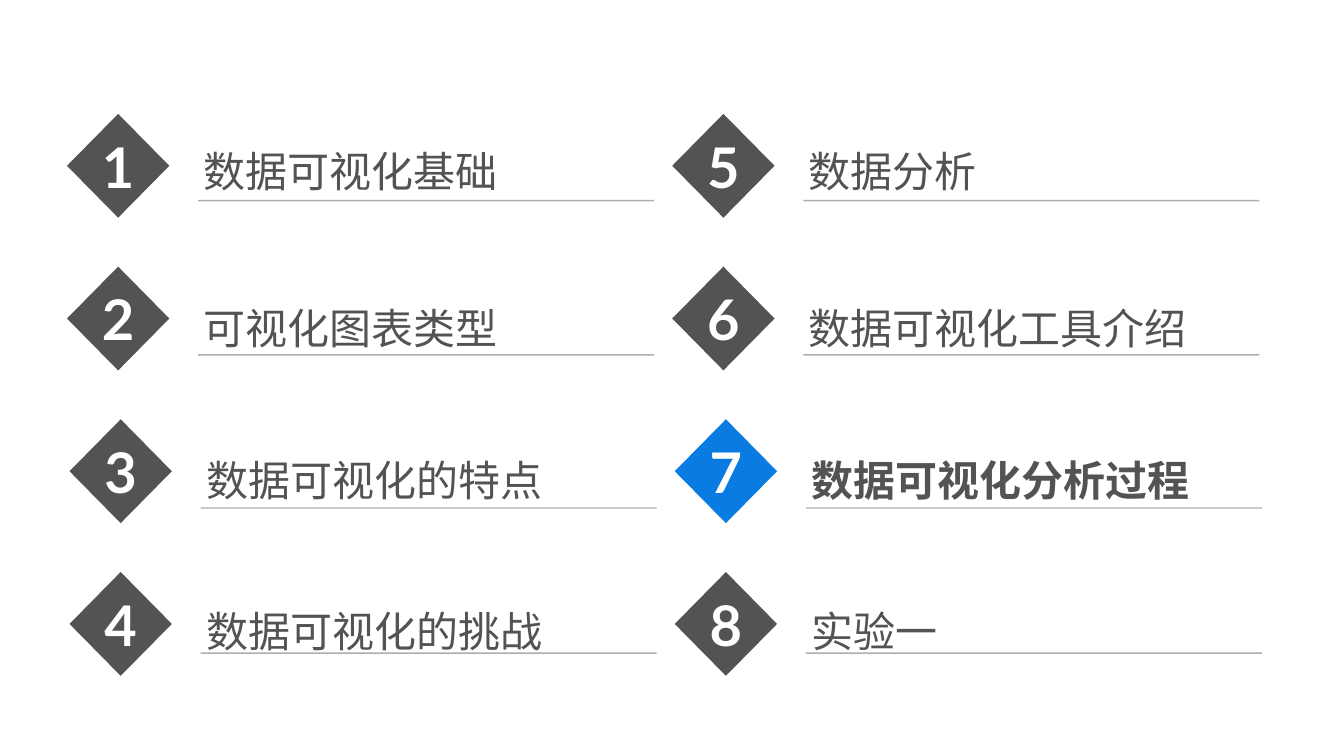
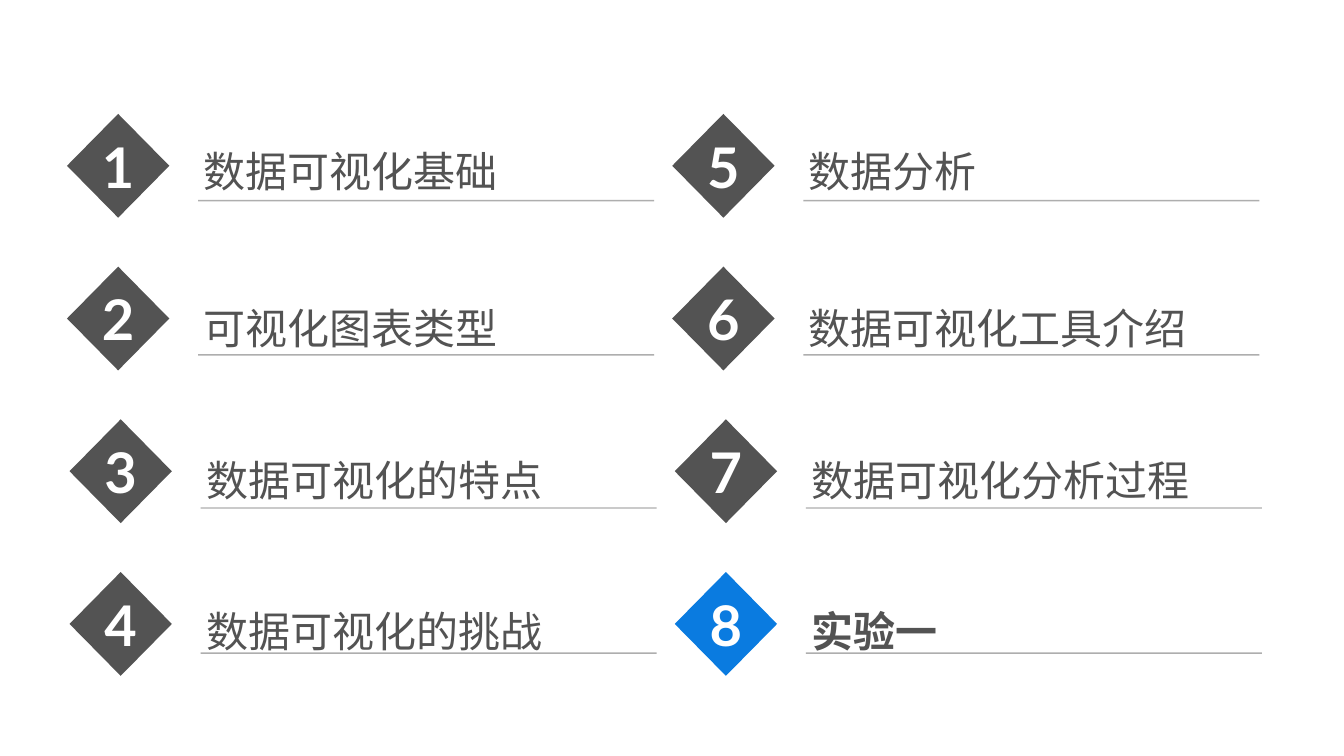
from dataclasses import dataclass

from lxml.etree import SubElement as sub
from pptx import Presentation
from pptx.dml.color import RGBColor as Color
from pptx.enum.shapes import MSO_CONNECTOR as Connector, MSO_SHAPE as Shape
from pptx.enum.text import MSO_ANCHOR as Anchor, MSO_AUTO_SIZE as AutoSize, PP_ALIGN as Align
from pptx.oxml.ns import qn
from pptx.util import Inches, Pt


@dataclass(frozen=True)
class Theme:
    dark: Color = Color.from_string("535353")
    accent: Color = Color.from_string("0A7BE0")
    white: Color = Color.from_string("FFFFFF")
    rule: Color = Color.from_string("5E5E5E")
    rule_alpha: int = 50
    rule_width: int = 2
    number_font: str = "Lato"
    number_size: int = 80
    topic_font: str = "Noto Sans CJK JP"
    topic_size: int = 60


theme = Theme()

TOPICS = [
    "数据可视化基础", "可视化图表类型", "数据可视化的特点", "数据可视化的挑战",
    "数据分析", "数据可视化工具介绍", "数据可视化分析过程", "实验一",
]
CURRENT_TOPICS = [7, 8]  # the topic highlighted on each slide

# Grid in inches: two columns of four rows
ROWS = 4
COLUMN_LEFT, COLUMN_PITCH = 1.33, 12.01
DIAMOND_TOP, ROW_PITCH = 2.26, 3.03
DIAMOND_WIDTH, DIAMOND_HEIGHT = 2.03, 2.06
TOPIC_INDENT, TOPIC_WIDTH, TOPIC_HEIGHT = 2.61, 9.26, 1.21
RULE_INDENT, RULE_LENGTH = 2.6, 9.05
ROW_SHIFTS = [0, 0, 0.05, 0.05]
TOPIC_TOPS = [2.79, 5.9, 8.91, 11.91]
RULE_TOPS = [3.98, 7.04, 10.08, 12.96]


def write(shape, text, font, size, color, bold, **frame_format):
    """Put one formatted line of text in a shape."""
    frame = shape.text_frame
    margins = dict.fromkeys(
        ("margin_left", "margin_top", "margin_right", "margin_bottom"), Inches(0.1))
    for name, value in {**margins, "word_wrap": True, **frame_format}.items():
        setattr(frame, name, value)
    para = frame.paragraphs[0]
    span = para.add_run()
    span.text = text
    span.font.color.rgb = color
    for name, value in {"name": font, "size": Pt(size), "bold": bold}.items():
        setattr(span.font, name, value)
    sub(span.font._element, qn("a:ea"), typeface=font)
    return para


deck = Presentation()
deck.slide_width, deck.slide_height = Inches(26.67), Inches(15)
blank_layout = deck.slide_layouts[6]

for current in CURRENT_TOPICS:
    page = deck.slides.add_slide(blank_layout)
    for number, topic in enumerate(TOPICS, start=1):
        column, row = divmod(number - 1, ROWS)
        left = COLUMN_LEFT + column * COLUMN_PITCH + ROW_SHIFTS[row]
        is_current = number == current

        # Topic text
        box = page.shapes.add_textbox(
            Inches(left + TOPIC_INDENT), Inches(TOPIC_TOPS[row]),
            Inches(TOPIC_WIDTH), Inches(TOPIC_HEIGHT))
        write(box, topic, theme.topic_font, theme.topic_size, theme.dark, is_current,
              auto_size=AutoSize.SHAPE_TO_FIT_TEXT)

        # Numbered diamond
        diamond = page.shapes.add_shape(
            Shape.DIAMOND, Inches(left), Inches(DIAMOND_TOP + row * ROW_PITCH),
            Inches(DIAMOND_WIDTH), Inches(DIAMOND_HEIGHT))
        diamond.shadow.inherit = False
        diamond.fill.solid()
        diamond.fill.fore_color.rgb = theme.accent if is_current else theme.dark
        diamond.line.fill.background()
        para = write(diamond, str(number), theme.number_font, theme.number_size,
                     theme.white, True, vertical_anchor=Anchor.MIDDLE)
        para.alignment = Align.CENTER

        # Half-transparent rule under the topic
        start, height = left + RULE_INDENT, Inches(RULE_TOPS[row])
        rule = page.shapes.add_connector(
            Connector.STRAIGHT, Inches(start), height, Inches(start + RULE_LENGTH), height)
        rule.line.width = Pt(theme.rule_width)
        rule.line.color.rgb = theme.rule
        properties = rule._element.spPr
        color = properties.find(".//" + qn("a:srgbClr"))
        sub(color, qn("a:alpha"), val=str(theme.rule_alpha * 1000))
        sub(properties, qn("a:effectLst"))

deck.save("out.pptx")
